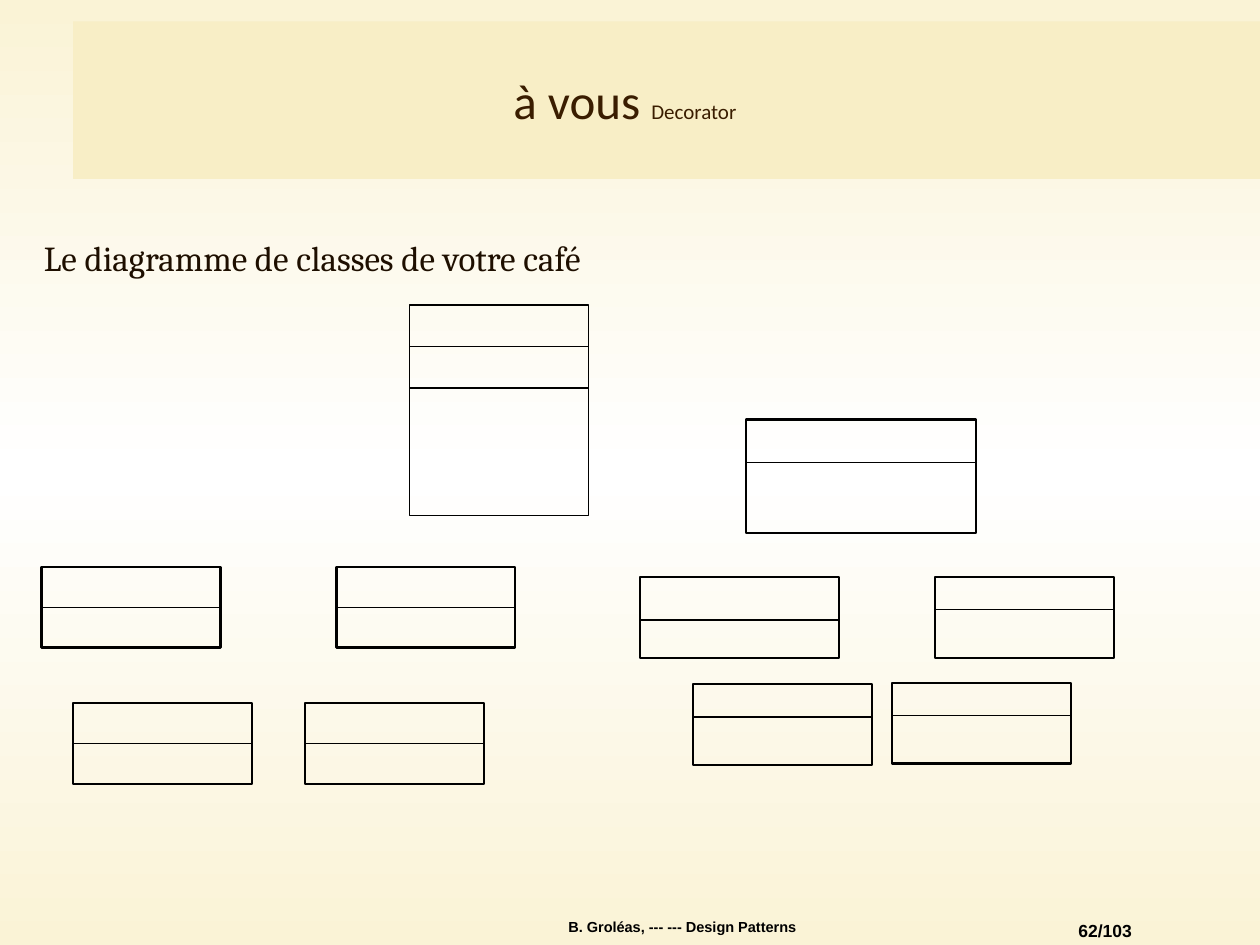
"""Build the exercise slide with an empty class diagram for the Decorator pattern."""
from copy import deepcopy
from dataclasses import dataclass

from pptx import Presentation
from pptx import util as u
from pptx.dml.color import RGBColor
from pptx.enum import shapes, text
from pptx.oxml.ns import qn
from pptx.oxml import parse_xml


@dataclass(frozen=True)
class Theme:
    edge: str = "FAF3D6"
    centre: str = "FFFFFF"
    band: str = "F8EEC6"
    ink: str = "000000"
    title: str = "3A1D00"
    body: str = "1E0F00"
    title_size: float = 28
    subtitle_size: float = 12
    body_size: float = 20
    number_size: float = 10
    footer_size: float = 8.3
    thin: float = 0.75
    thick: float = 1.25


class SlideBuilder:
    def __init__(self, page, theme):
        self.page = page
        self.theme = theme

    def background(self):
        fill = self.page.background.fill
        fill.gradient()
        fill.gradient_angle = 270
        stops = self.page.element.find(".//" + qn("a:gsLst"))
        stops.insert(1, deepcopy(stops[0]))
        colours = (self.theme.edge, self.theme.centre, self.theme.edge)
        for stop, colour, position in zip(fill.gradient_stops, colours, (0, 0.5, 1)):
            stop.color.rgb = RGBColor.from_string(colour)
            stop.position = position

    def rectangle(self, parent, left, top, width, height, fill=None, line=None):
        box = parent.add_shape(
            shapes.MSO_SHAPE.RECTANGLE, *map(u.Inches, (left, top, width, height)))
        box.shadow.inherit = False
        if fill:
            box.fill.solid()
            box.fill.fore_color.rgb = RGBColor.from_string(fill)
        else:
            box.fill.background()
        if line:
            box.line.color.rgb = RGBColor.from_string(self.theme.ink)
            box.line.width = u.Pt(line)
        else:
            box.line.fill.background()
        return box

    def divider(self, parent, left, right, y):
        line = parent.add_connector(
            shapes.MSO_CONNECTOR.STRAIGHT, *map(u.Inches, (left, y, right, y)))
        line.line.color.rgb = RGBColor.from_string(self.theme.ink)
        line.line.width = u.Pt(self.theme.thin)
        line.element.spPr.append(parse_xml(
            '<a:effectLst xmlns:a="http://schemas.openxmlformats.org/drawingml/2006/main"/>'))
        return line

    def class_box(self, left, top, width, height, dividers, line):
        parent = self.page.shapes.add_group_shape().shapes
        box = self.rectangle(parent, left, top, width, height, line=line)
        for offset in dividers:
            rule = self.divider(parent, left, left + width, top + offset)
            if offset == height / 2:
                rule.begin_connect(box, 1)
                rule.end_connect(box, 3)

    def label(self, place, spans, font, colour, align,
              bold=False, anchor=text.MSO_ANCHOR.TOP, spacing=1.0):
        frame = self.page.shapes.add_textbox(*map(u.Inches, place)).text_frame
        frame.word_wrap = True
        frame.vertical_anchor = anchor
        para = frame.paragraphs[0]
        para.alignment = align
        para.line_spacing = spacing
        para.font.name = font
        para.font.bold = bold
        para.font.color.rgb = RGBColor.from_string(colour)
        for wording, size in spans:
            span = para.add_run()
            span.text = wording
            if len(spans) > 1:
                span.font.size = u.Pt(size)
            else:
                para.font.size = u.Pt(size)


def main():
    theme = Theme()
    deck = Presentation()
    deck.slide_width, deck.slide_height = u.Inches(10), u.Inches(7.5)
    slide = SlideBuilder(deck.slides.add_slide(deck.slide_layouts[6]), theme)
    align = text.PP_ALIGN

    slide.background()
    slide.rectangle(slide.page.shapes, 0.58, 0.17, 9.42, 1.25, fill=theme.band)
    slide.label((8.33, 7.25, 0.75, 0.25), [("62/103", theme.number_size)],
                "Arial", theme.ink, align.RIGHT, bold=True)
    slide.label((2.08, 7.25, 6.67, 0.25),
                [("B. Groléas, --- --- Design Patterns", theme.footer_size)],
                "Arial", theme.ink, align.CENTER, bold=True, spacing=0.9)
    slide.label((0.42, 0.33, 9.08, 0.92),
                [("à vous ", theme.title_size), ("Decorator", theme.subtitle_size)],
                "Calibri", theme.title, align.CENTER, anchor=text.MSO_ANCHOR.MIDDLE)
    slide.label((0.25, 1.83, 9.5, 5.08),
                [("Le diagramme de classes de votre café", theme.body_size)],
                "Cambria", theme.body, align.LEFT)

    width, height = 1.42, 0.64
    slide.class_box(3.25, 2.42, width, 1.67, (0.33, 0.66), theme.thin)
    slide.class_box(5.92, 3.33, 1.83, 0.9, (0.34,), theme.thick)
    slide.class_box(5.08, 4.58, 1.58, height, (0.34,), theme.thick)
    for left, top in ((0.33, 4.5), (2.67, 4.5), (0.58, 5.58), (2.42, 5.58)):
        slide.class_box(left, top, width, height, (height / 2,), theme.thick)
    for left, top in ((7.42, 4.58), (7.08, 5.42), (5.5, 5.43)):
        slide.class_box(left, top, width, height, (0.26,), theme.thick)

    deck.save("out.pptx")


if __name__ == "__main__":
    main()
